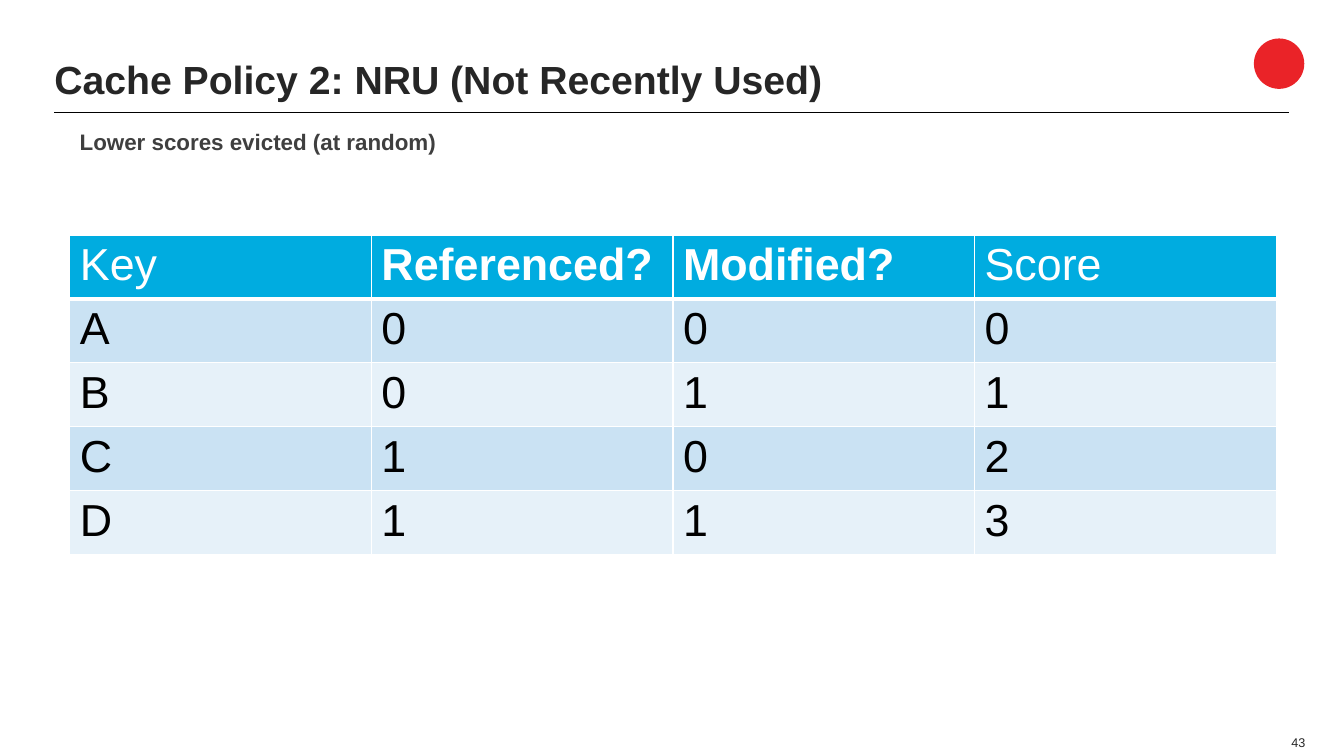
import pptx
import pptx.dml.color
import pptx.enum.shapes
import pptx.enum.text
import pptx.oxml.ns
import pptx.util
from lxml import etree

Cm = pptx.util.Cm
Pt = pptx.util.Pt
RGBColor = pptx.dml.color.RGBColor
PP_ALIGN = pptx.enum.text.PP_ALIGN
MSO_ANCHOR = pptx.enum.text.MSO_ANCHOR
qn = pptx.oxml.ns.qn

WHITE = RGBColor(0xFF, 0xFF, 0xFF)
BLACK = RGBColor(0x00, 0x00, 0x00)
INK = RGBColor(0x26, 0x26, 0x26)
GREY = RGBColor(0x3F, 0x3F, 0x3F)
RED = RGBColor(0xEA, 0x23, 0x28)
HEADER_BLUE = RGBColor(0x00, 0xAC, 0xE0)
BAND_DARK = RGBColor(0xCA, 0xE2, 0xF3)
BAND_LIGHT = RGBColor(0xE6, 0xF1, 0xF9)

SCORES = [
    ("Key", "Referenced?", "Modified?", "Score"),
    ("A", "0", "0", "0"),
    ("B", "0", "1", "1"),
    ("C", "1", "0", "2"),
    ("D", "1", "1", "3"),
]
BOLD_HEADERS = ("Referenced?", "Modified?")


def set_text(p, text, size, color, bold=False):
    r = p.add_run()
    r.text = text
    font = {"name": "Arial", "size": Pt(size), "bold": bold}
    for name, value in font.items():
        setattr(r.font, name, value)
    r.font.color.rgb = color


def add_text(s, box, text, size, color, bold=False, frame=None, para=None):
    """Add a one-paragraph text box; frame and para hold extra format values."""
    tf = s.shapes.add_textbox(*map(Cm, box)).text_frame
    p = tf.paragraphs[0]
    for target, values in ((tf, {"word_wrap": True, **(frame or {})}),
                           (p, para or {})):
        for name, value in values.items():
            setattr(target, name, value)
    set_text(p, text, size, color, bold)


def add_rule(s, left, right, y):
    line = s.shapes.add_connector(pptx.enum.shapes.MSO_CONNECTOR.STRAIGHT,
                                  Cm(left), Cm(y), Cm(right), Cm(y))
    line.line.color.rgb = BLACK
    line.line.width = Pt(1)
    etree.SubElement(line._element.spPr, qn("a:effectLst"))


def add_badge(s, left, top, size):
    sp = s.shapes.add_shape(pptx.enum.shapes.MSO_SHAPE.OVAL,
                            Cm(left), Cm(top), Cm(size), Cm(size))
    sp.shadow.inherit = False
    sp.fill.solid()
    sp.fill.fore_color.rgb = RED
    sp.line.fill.background()


def set_borders(cell, widths):
    """Draw white cell borders; widths maps an edge (L, R, T, B) to points."""
    tcPr = cell._tc.get_or_add_tcPr()
    for edge, width in widths.items():
        ln = etree.SubElement(tcPr, qn("a:ln" + edge), w=str(Pt(width)))
        fill = etree.SubElement(ln, qn("a:solidFill"))
        etree.SubElement(fill, qn("a:srgbClr"), val=str(WHITE))


def add_score_table(s, left, top, col_width, row_height):
    rows, cols = len(SCORES), len(SCORES[0])
    table = s.shapes.add_table(rows, cols, Cm(left), Cm(top),
                               Cm(col_width * cols), Cm(row_height * rows)).table
    for i, values in enumerate(SCORES):
        header = i == 0
        band = HEADER_BLUE if header else (BAND_LIGHT, BAND_DARK)[i % 2]
        for j, text in enumerate(values):
            cell = table.cell(i, j)
            set_borders(cell, {"L": 1, "R": 1, "T": 3 if i == 1 else 1,
                               "B": 3 if header else 1})
            cell.fill.solid()
            cell.fill.fore_color.rgb = band
            set_text(cell.text_frame.paragraphs[0], text, 32,
                     WHITE if header else BLACK, text in BOLD_HEADERS)


def main():
    prs = pptx.Presentation()
    prs.slide_width, prs.slide_height = Cm(33.87), Cm(19.05)
    s = prs.slides.add_slide(prs.slide_layouts[6])
    add_text(s, (32.23, 18.39, 0.92, 0.64), "43", 9, INK,
             frame={"vertical_anchor": MSO_ANCHOR.BOTTOM, "word_wrap": False},
             para={"alignment": PP_ALIGN.RIGHT})
    add_badge(s, 31.6, 0.97, 1.27)
    add_rule(s, 1.37, 32.49, 2.83)
    add_text(s, (1.12, 1.3, 30.38, 1.52),
             "Cache Policy 2: NRU (Not Recently Used)", 28, INK, True,
             frame={"vertical_anchor": MSO_ANCHOR.MIDDLE},
             para={"line_spacing": 0.9})
    add_text(s, (1.12, 3.1, 30.38, 0.97), "Lower scores evicted (at random)",
             16, GREY, True, frame={"margin_left": Cm(0.89)})
    add_score_table(s, 1.76, 5.92, 7.6, 1.52)
    prs.save("out.pptx")


if __name__ == "__main__":
    main()
